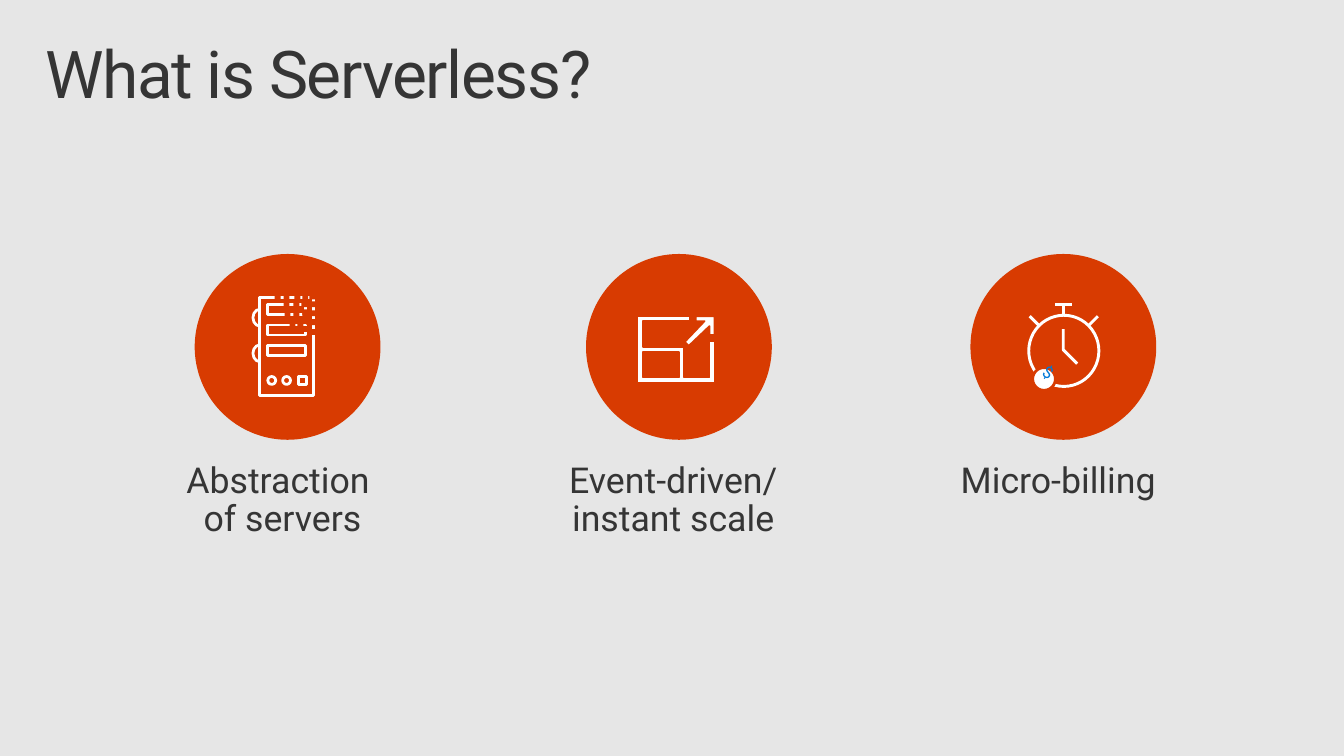
from lxml import etree
from pptx import Presentation
from pptx.dml.color import RGBColor
from pptx.enum.shapes import MSO_CONNECTOR, MSO_SHAPE
from pptx.enum.text import PP_ALIGN
from pptx.oxml.ns import qn
from pptx.util import Inches, Pt

OVAL, RECT, ARC = MSO_SHAPE.OVAL, MSO_SHAPE.RECTANGLE, MSO_SHAPE.ARC
STRAIGHT = MSO_CONNECTOR.STRAIGHT
LEFT, CENTER = PP_ALIGN.LEFT, PP_ALIGN.CENTER

GRAY = RGBColor(0xE6, 0xE6, 0xE6)
DARK = RGBColor(0x35, 0x35, 0x35)
ORANGE = RGBColor(0xD8, 0x3B, 0x01)
WHITE = RGBColor(0xFF, 0xFF, 0xFF)
BLUE = RGBColor(0x00, 0x78, 0xD7)

DISC_TOP, DISC_SIZE = 2.57, 1.88
LABEL_TOP = 4.52
CHIP = 0.06

# Left and top of the squares that dissolve the server's upper right corner
CHIPS = [
    (2.78, 2.98), (2.87, 2.97), (2.98, 2.97), (3.06, 2.97), (3.13, 2.97),
    (2.87, 3.04), (2.97, 3.04), (3.05, 3.05), (3.15, 3.05),
    (2.88, 3.16), (2.97, 3.15), (3.06, 3.13), (3.06, 3.15), (3.15, 3.14),
    (2.93, 3.26), (3.01, 3.26), (3.06, 3.3), (3.14, 3.23), (3.14, 3.33),
]
FRAME = [(7.18, 3.82), (6.92, 3.82), (6.92, 3.51), (6.51, 3.51), (6.51, 3.25),
         (6.98, 3.25), (6.98, 3.2), (6.45, 3.2), (6.45, 3.87), (7.23, 3.87),
         (7.23, 3.45), (7.18, 3.45)]
FRAME_HOLE = [(6.51, 3.56), (6.87, 3.56), (6.87, 3.82), (6.51, 3.82)]
ARROW = [(7.04, 3.25), (7.13, 3.25), (6.93, 3.46), (6.97, 3.5), (7.18, 3.3),
         (7.18, 3.39), (7.23, 3.39), (7.23, 3.2), (7.04, 3.2)]
HANDS = [(10.76, 3.33), (10.76, 3.54), (10.9, 3.68)]


def paint(shape, fill, line, width):
    shape.shadow.inherit = False
    if fill is None:
        shape.fill.background()
    else:
        shape.fill.solid()
        shape.fill.fore_color.rgb = fill
    if line is None:
        shape.line.fill.background()
    else:
        shape.line.color.rgb = line
        shape.line.width = Pt(width)


def add_preset(shapes, kind, x, y, w, h, fill=None, line=None, width=2):
    s = shapes.add_shape(kind, Inches(x), Inches(y), Inches(w), Inches(h))
    paint(s, fill, line, width)
    return s


def add_outline(shapes, contours, fill, line, width, close=True):
    """Draw one freeform from one or more lists of points."""
    points = [[(Inches(x), Inches(y)) for x, y in c] for c in contours]
    builder = shapes.build_freeform(*points[0][0])
    builder.add_line_segments(points[0][1:], close=close)
    for contour in points[1:]:
        builder.move_to(*contour[0])
        builder.add_line_segments(contour[1:], close=close)
    paint(builder.convert_to_shape(), fill, line, width)


def add_line(shapes, x1, y1, x2, y2):
    c = shapes.add_connector(STRAIGHT, Inches(x1), Inches(y1), Inches(x2), Inches(y2))
    c.line.color.rgb = WHITE
    c.line.width = Pt(2.13)
    etree.SubElement(c._element.spPr, qn("a:effectLst"))


def add_text(shapes, text, box, insets, size, color=DARK, align=LEFT, wrap=True):
    s = shapes.add_textbox(*[Inches(v) for v in box])
    tf = s.text_frame
    tf.word_wrap = wrap
    tf.margin_left, tf.margin_top, tf.margin_right, tf.margin_bottom = map(Inches, insets)
    p = tf.paragraphs[0]
    p.text = text
    p.alignment = align
    p.line_spacing = 0.9
    p.font.name = "Roboto"
    p.font.size = Pt(size)
    p.font.color.rgb = color
    return s


def add_label(shapes, text, x, w, h):
    add_text(shapes, text, (x, LABEL_TOP, w, h), (0.1, 0.16, 0.2, 0.16), 26, align=CENTER)


def add_icon_group(slide, x):
    """Return the shapes of a new group that starts with an orange disc."""
    shapes = slide.shapes.add_group_shape().shapes
    add_preset(shapes, OVAL, x, DISC_TOP, DISC_SIZE, DISC_SIZE, ORANGE)
    return shapes


def add_stopwatch(slide):
    shapes = add_icon_group(slide, 9.82)
    add_outline(shapes, [HANDS], None, WHITE, 2.13, close=False)
    add_preset(shapes, OVAL, 10.41, 3.19, 0.71, 0.72, line=WHITE, width=2.13)
    add_line(shapes, 10.68, 3.08, 10.85, 3.08)
    add_line(shapes, 10.76, 3.19, 10.76, 3.08)
    add_line(shapes, 11.11, 3.2, 11.01, 3.3)
    add_line(shapes, 10.42, 3.2, 10.52, 3.3)
    add_preset(shapes, OVAL, 10.45, 3.72, 0.23, 0.23, WHITE, ORANGE)
    coin = add_text(shapes, "$", (10.32, 3.59, 0.5, 0.5), (0.2, 0.16, 0.2, 0.16),
                    12, BLUE, wrap=False)
    coin.rotation = 30


def add_scale(slide):
    shapes = add_icon_group(slide, 5.93)
    add_outline(shapes, [FRAME, FRAME_HOLE], WHITE, ORANGE, 1.25)
    add_outline(shapes, [ARROW], WHITE, ORANGE, 1.25)


def add_server(slide):
    shapes = add_icon_group(slide, 1.97)
    add_preset(shapes, RECT, 2.63, 3.01, 0.54, 0.99, line=WHITE)
    for row in range(3):
        add_preset(shapes, RECT, 2.71, 3.08 + 0.21 * row, 0.38, 0.1, line=WHITE)
    for y in (3.13, 3.49):
        handle = add_preset(shapes, ARC, 2.56, y, 0.14, 0.17, line=WHITE)
        # Angles of 90 and 270 degrees, in units of 100000 / 60000 degrees
        handle.adjustments[0] = 54
        handle.adjustments[1] = 162
    for kind, x in ((OVAL, 2.71), (OVAL, 2.86), (RECT, 3.02)):
        add_preset(shapes, kind, x, 3.81, 0.08, 0.08, line=WHITE)
    for x, y in CHIPS:
        add_preset(shapes, RECT, x, y, CHIP, CHIP, ORANGE)


def main():
    prs = Presentation()
    prs.slide_width, prs.slide_height = Inches(13.6), Inches(7.65)
    slide = prs.slides.add_slide(prs.slide_layouts[6])
    slide.background.fill.solid()
    slide.background.fill.fore_color.rgb = GRAY

    title = add_text(slide.shapes, "What is Serverless?", (0.3, 0.32, 13, 1),
                     (0.16, 0.1, 0.16, 0.1), 48)
    r = title.text_frame.paragraphs[0].runs[0]
    r._r.get_or_add_rPr().set("spc", "-100")

    add_label(slide.shapes, "Abstraction \vof servers", 1.47, 2.88, 1.13)
    add_label(slide.shapes, "Event-driven/ instant scale", 5.38, 2.97, 1.13)
    add_label(slide.shapes, "Micro-billing", 9.39, 2.74, 0.73)

    add_server(slide)
    add_scale(slide)
    add_stopwatch(slide)
    prs.save("out.pptx")


if __name__ == "__main__":
    main()
